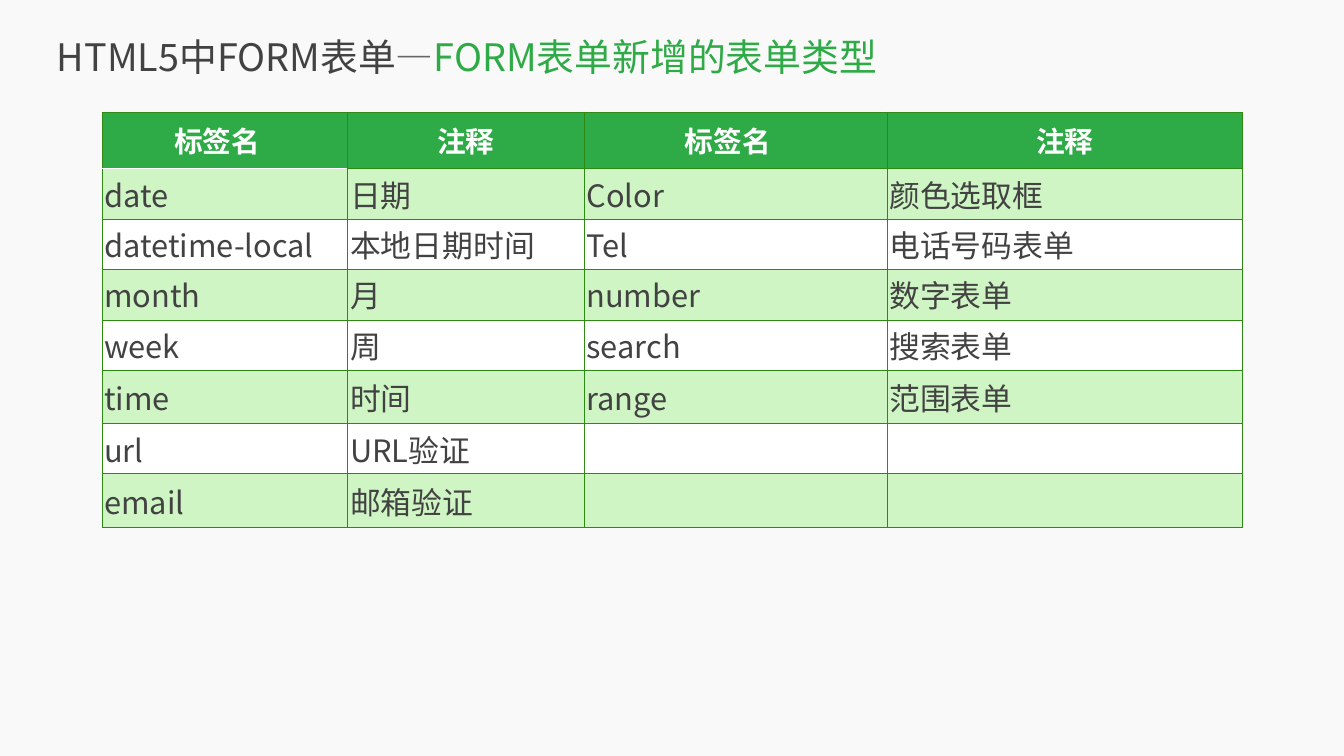
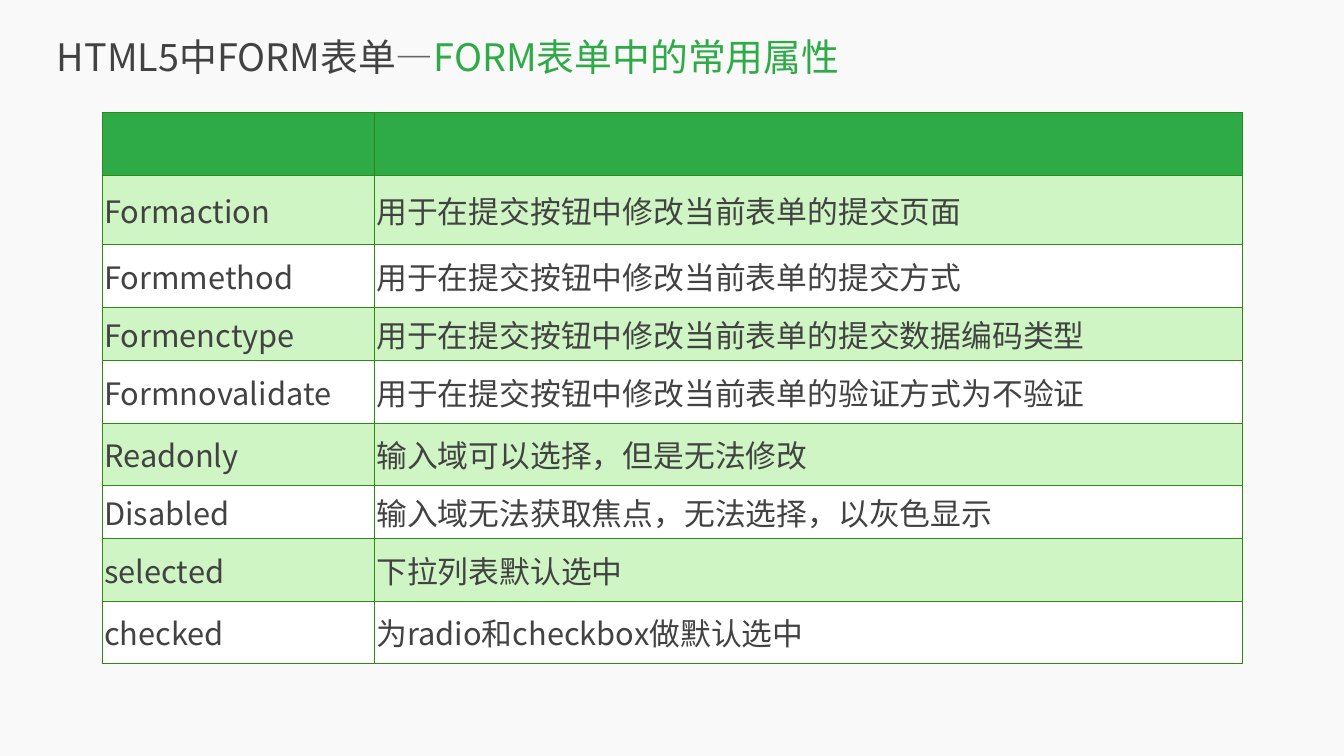
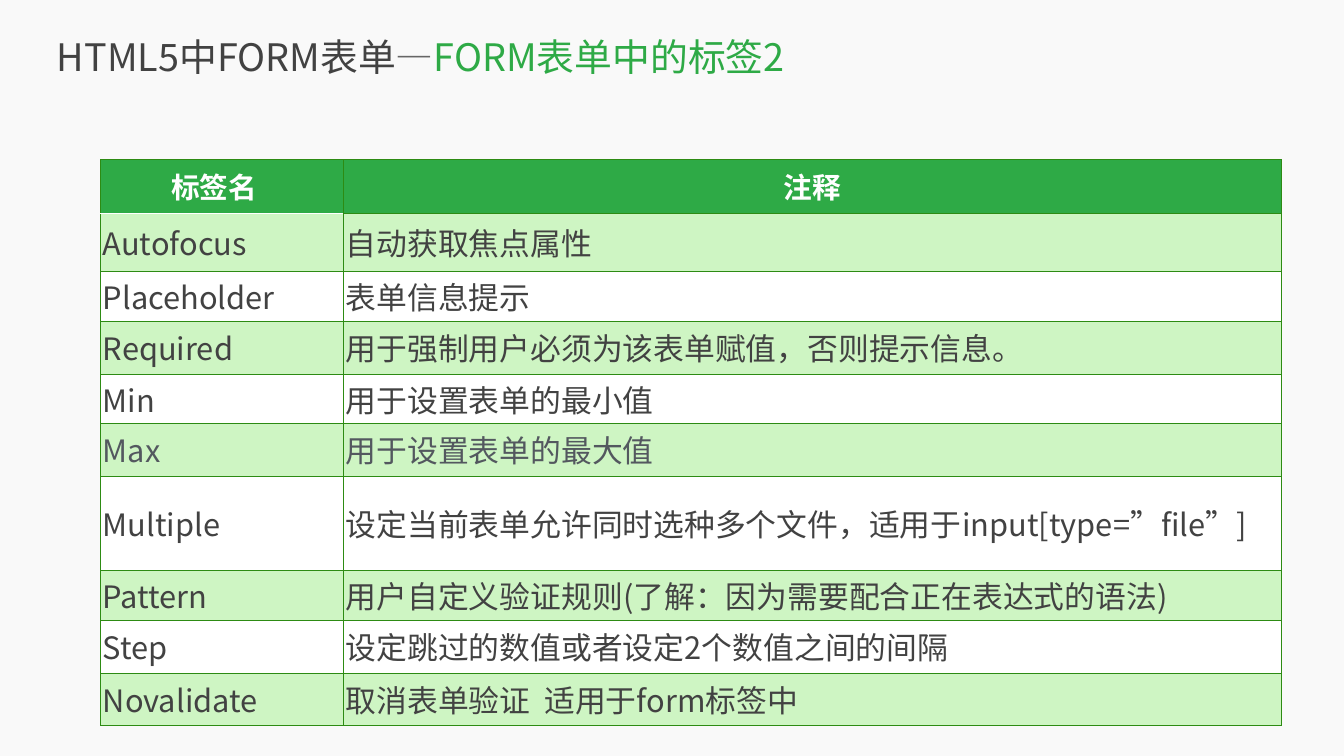
from lxml.etree import SubElement as Sub
from pptx import Presentation
from pptx.dml.color import RGBColor as Rgb
from pptx.enum.text import MSO_ANCHOR as Anchor, PP_ALIGN as Align
from pptx.oxml.ns import qn
from pptx.util import Inches, Pt

WIDE, HIGH = 26.67, 15
FACE = "Noto Sans CJK SC"
PAPER, INK, GREY, SLATE = "F9F9F9", "424242", "666666", "53585F"
GREEN, EDGE, PALE, WHITE = "2EAA46", "2D8B13", "CEF5C3", "FFFFFF"
PAD, HANG, SHIFT = 0.05, 0.38, 0.3
LEAD = "HTML5中FORM表单"
TAG, NOTE = "标签名", "注释"
HEAD_BOX = (4.24, 1.53, 94.34, 11.73)

TYPES = dict(
    title="FORM表单新增的表单类型",
    box=(7.57, 14.8, 84.89, 55),
    cols=(4.88, 4.69, 6.01, 7.06),
    rows=(1.12, 1, 1, 1, 1, 1.06, 0.99, 1.07),
    data=[
        (TAG, NOTE, TAG, NOTE),
        ("date", "日期", "Color", "颜色选取框"),
        ("datetime-local", "本地日期时间", "Tel", "电话号码表单"),
        ("month", "月", "number", "数字表单"),
        ("week", "周", "search", "搜索表单"),
        ("time", "时间", "range", "范围表单"),
        ("url", "URL验证", "", ""),
        ("email", "邮箱验证", "", ""),
    ],
)
PROPS = dict(
    title="FORM表单中的常用属性",
    box=(7.57, 14.8, 84.89, 73),
    cols=(5.4, 17.24),
    rows=(1.26, 1.37, 1.24, 1.06, 1.24, 1.24, 1.06, 1.24, 1.24),
    data=[
        ("", ""),
        ("Formaction", "用于在提交按钮中修改当前表单的提交页面"),
        ("Formmethod", "用于在提交按钮中修改当前表单的提交方式"),
        ("Formenctype", "用于在提交按钮中修改当前表单的提交数据编码类型"),
        ("Formnovalidate", "用于在提交按钮中修改当前表单的验证方式为不验证"),
        ("Readonly", "输入域可以选择，但是无法修改"),
        ("Disabled", "输入域无法获取焦点，无法选择，以灰色显示"),
        ("selected", "下拉列表默认选中"),
        ("checked", "为radio和checkbox做默认选中"),
    ],
)
TAGS = dict(
    title="FORM表单中的标签2",
    box=(7.46, 21.07, 87.85, 74.93),
    cols=(4.82, 18.61),
    rows=(1.07, 1.16, 0.98, 1.05, 0.98, 1.05, 1.88, 0.98, 1.05, 1.05),
    data=[
        (TAG, NOTE),
        ("Autofocus", "自动获取焦点属性"),
        ("Placeholder", "表单信息提示"),
        ("Required", "用于强制用户必须为该表单赋值，否则提示信息。"),
        ("Min", "用于设置表单的最小值"),
        ("Max", "用于设置表单的最大值"),
        ("Multiple", "设定当前表单允许同时选种多个文件，适用于input[type=”file”]"),
        ("Pattern", "用户自定义验证规则(了解：因为需要配合正在表达式的语法)"),
        ("Step", "设定跳过的数值或者设定2个数值之间的间隔"),
        ("Novalidate", "取消表单验证  适用于form标签中"),
    ],
    muted=5,
)


def paint(fill, color):
    """Fill solidly with a hex colour."""
    fill.solid()
    fill.fore_color.rgb = Rgb.from_string(color)


def place(box):
    """Turn percentages of the slide into lengths."""
    sides = (WIDE, HIGH, WIDE, HIGH)
    return [Inches(part * side / 100) for part, side in zip(box, sides)]


def style(run, size, color, bold=False):
    """Set the face, size and colour of a run."""
    font = run.font
    font.name, font.size, font.bold = FACE, Pt(size), bold
    font.color.rgb = Rgb.from_string(color)
    Sub(font._element, qn("a:ea"), typeface=FACE)


def rule(cell, side, color, width):
    """Draw one border of a cell."""
    line = Sub(cell._tc.get_or_add_tcPr(), qn("a:ln" + side), w=str(Pt(width)))
    Sub(Sub(line, qn("a:solidFill")), qn("a:srgbClr"), val=color)


def add_title(slide, text, box):
    """Place the three-coloured heading."""
    frame = slide.shapes.add_textbox(*place(box)).text_frame
    frame.word_wrap = True
    frame.vertical_anchor = Anchor.MIDDLE
    frame.margin_left = frame.margin_right = 0
    frame.margin_top = frame.margin_bottom = 0
    for part, color in ((LEAD, INK), ("—", GREY), (text, GREEN)):
        run = frame.paragraphs[0].add_run()
        run.text = part
        style(run, 54, color)


def write(cell, text, head, color):
    """Set the text of a cell with a hanging indent."""
    cell.vertical_anchor = Anchor.MIDDLE
    cell.margin_left = cell.margin_top = cell.margin_bottom = Inches(PAD)
    cell.margin_right = Inches(PAD + (SHIFT if text == TAG else 0))
    para = cell.text_frame.paragraphs[0]
    para.text = text
    para.alignment = Align.CENTER if head else Align.LEFT
    props = para._p.get_or_add_pPr()
    props.set("marL", str(Inches(HANG)))
    props.set("indent", str(-Inches(HANG)))
    style(para.runs[0], 41 if head else 44, color, head)


def add_grid(slide, box, cols, rows, data, muted=None):
    """Place the banded table, its tracks sharing out the box."""
    left, top, width, height = place(box)
    grid = slide.shapes.add_table(len(rows), len(cols), left, top, width, height).table
    grid.horz_banding = False
    for track, part in zip(grid.columns, cols):
        track.width = int(width * part / sum(cols))
    for track, part in zip(grid.rows, rows):
        track.height = int(height * part / sum(rows))
    for r, line in enumerate(data):
        head = r == 0
        ink = WHITE if head else SLATE if r == muted else INK
        for c, text in enumerate(line):
            cell = grid.cell(r, c)
            split = {0: "B", 1: "T"}.get(r) if c == 0 and data[0][0] else None
            for side in "LRTB":
                rule(cell, side, *((WHITE, 1) if side == split else (EDGE, 0.75)))
            paint(cell.fill, GREEN if head else PALE if r % 2 else WHITE)
            if text:
                write(cell, text, head, ink)


def add_page(deck, title, **grid):
    """Add one slide with its heading and table."""
    slide = deck.slides.add_slide(deck.slide_layouts[6])
    paint(slide.background.fill, PAPER)
    add_title(slide, title, HEAD_BOX)
    add_grid(slide, **grid)


def main():
    """Build and save the deck."""
    deck = Presentation()
    deck.slide_width, deck.slide_height = Inches(WIDE), Inches(HIGH)
    for page in (TYPES, PROPS, TAGS):
        add_page(deck, **page)
    deck.save("out.pptx")


if __name__ == "__main__":
    main()
